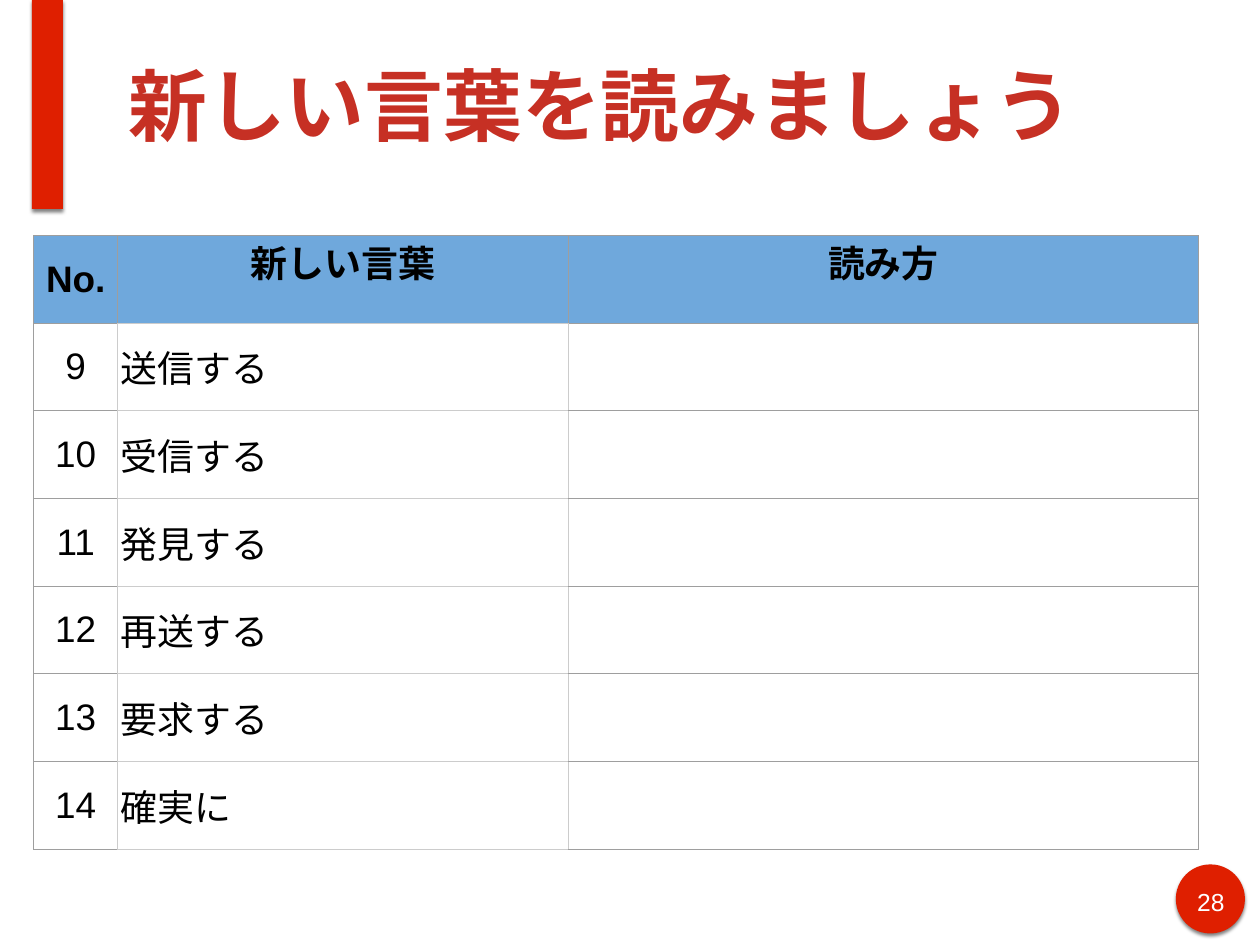
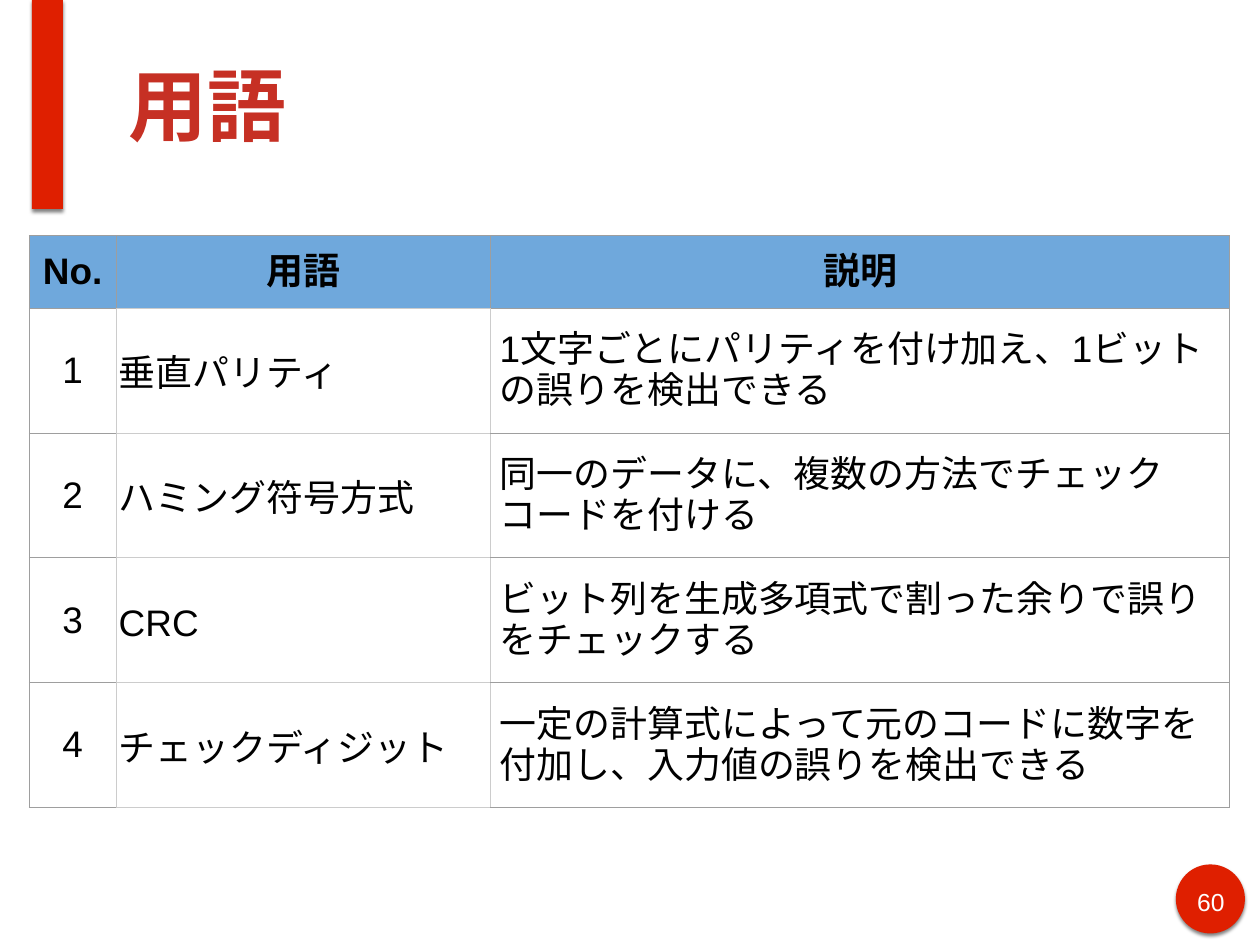
from pptx import Presentation
from pptx.dml.color import RGBColor
from pptx.enum.lang import MSO_LANGUAGE_ID as Language
from pptx.enum.shapes import MSO_SHAPE as Shape
from pptx.enum.text import MSO_ANCHOR as Anchor, MSO_AUTO_SIZE as AutoSize, PP_ALIGN as Align
from pptx.oxml import parse_xml
from pptx.oxml.ns import nsdecls
from pptx.util import Inches, Pt

# Shared style
FONT = "Arial"
RED, TITLE_RED, BLUE = "DF1F00", "C63024", "6FA8DC"
BLACK, WHITE = "000000", "FFFFFF"
EDGE, SOFT = "9E9E9E", "CCCCCC"
BODY_SIZE = 30
TITLE_BOX = (1.39, 0.12, 12.14, 2.12)
BAND_BOX = (0.36, 0, 0.35, 2.36)
BADGE_BOX = (13.27, 9.76, 0.78, 0.78)

# Border colours by column: left, right, top, bottom
HEADING_BORDERS = [(EDGE, EDGE, EDGE, EDGE), (EDGE, EDGE, EDGE, SOFT), (EDGE, EDGE, EDGE, EDGE)]
BODY_BORDERS = [(EDGE, SOFT, EDGE, EDGE), (SOFT, SOFT, SOFT, SOFT), (SOFT, EDGE, EDGE, EDGE)]

WORDS = ["送信する", "受信する", "発見する", "再送する", "要求する", "確実に"]
TERMS = [
    ("垂直パリティ", "1文字ごとにパリティを付け加え、1ビットの誤りを検出できる"),
    ("ハミング符号方式", "同一のデータに、複数の方法でチェックコードを付ける"),
    ("CRC", "ビット列を生成多項式で割った余りで誤りをチェックする"),
    ("チェックディジット", "一定の計算式によって元のコードに数字を付加し、入力値の誤りを検出できる"),
]


def color(value):
    return RGBColor.from_string(value)


def inches(box):
    return [Inches(length) for length in box]


def write(paragraph, text, size, text_color, bold=False, align=Align.LEFT):
    paragraph.text = text
    paragraph.alignment = align
    font = paragraph.font
    font.name, font.size, font.bold = FONT, Pt(size), bold
    font.color.rgb = color(text_color)
    font.language_id = Language.JAPANESE
    # East Asian text follows the same font
    latin = paragraph._p.pPr.find(".//{*}latin")
    latin.addnext(parse_xml(f'<a:ea {nsdecls("a")} typeface="{FONT}"/>'))


def set_margins(frame, margin):
    frame.margin_left = frame.margin_right = Inches(margin)
    frame.margin_top = frame.margin_bottom = Inches(margin)


def add_red_shape(slide, kind, box):
    shape = slide.shapes.add_shape(kind, *inches(box))
    shape.fill.solid()
    shape.fill.fore_color.rgb = color(RED)
    shape.line.fill.background()
    shape._element.spPr.append(parse_xml(
        f'<a:effectLst {nsdecls("a")}>'
        f'<a:outerShdw blurRad="{Pt(3)}" dist="{Pt(2)}" dir="5400000" rotWithShape="0">'
        f'<a:srgbClr val="{BLACK}"><a:alpha val="49000"/></a:srgbClr>'
        '</a:outerShdw></a:effectLst>'))


def add_badge(slide, number, box):
    """Round page badge with its number."""
    add_red_shape(slide, Shape.OVAL, box)
    left, top, width, _ = box
    number_box = (left + 0.15, top + 0.19, width - 0.29, 0.39)
    frame = slide.shapes.add_textbox(*inches(number_box)).text_frame
    frame.word_wrap = True
    set_margins(frame, 0.06)
    write(frame.paragraphs[0], str(number), 20, WHITE, align=Align.CENTER)


def set_title(slide, text, box):
    title = slide.shapes.title
    title.left, title.top, title.width, title.height = inches(box)
    frame = title.text_frame
    frame.auto_size = AutoSize.NONE
    frame.word_wrap = True
    frame.vertical_anchor = Anchor.MIDDLE
    set_margins(frame, 0.06)
    write(frame.paragraphs[0], text, 64, TITLE_RED, bold=True)


def set_borders(cell, border_colors):
    properties = cell._tc.get_or_add_tcPr()
    for index, (side, value) in enumerate(zip("LRTB", border_colors)):
        properties.insert(index, parse_xml(
            f'<a:ln{side} {nsdecls("a")} w="{Pt(0.75)}"><a:solidFill>'
            f'<a:srgbClr val="{value}"/></a:solidFill></a:ln{side}>'))


def fill_cell(cell, text, column, heading, heading_anchor):
    set_margins(cell, 0.1)
    cell.vertical_anchor = heading_anchor if heading and column else Anchor.MIDDLE
    paragraph = cell.text_frame.paragraphs[0]
    centred = heading or column == 0
    write(paragraph, text, BODY_SIZE, BLACK, heading, Align.CENTER if centred else Align.LEFT)
    if heading:
        cell.fill.solid()
        cell.fill.fore_color.rgb = color(BLUE)
    else:
        cell.fill.background()
        if column == 1:
            cell.margin_left = cell.margin_right = Inches(0.03)
            paragraph.line_spacing = 1.15
    set_borders(cell, (HEADING_BORDERS if heading else BODY_BORDERS)[column])


def add_word_table(slide, rows, left, top, widths, heading_height, row_height, heading_anchor):
    """Numbered table whose first row holds the headings."""
    heights = [heading_height] + [row_height] * (len(rows) - 1)
    box = (left, top, sum(widths), sum(heights))
    table = slide.shapes.add_table(len(rows), len(widths), *inches(box)).table
    table.first_row = table.horz_banding = False
    for column, width in zip(table.columns, widths):
        column.width = Inches(width)
    for row_index, (row, height) in enumerate(zip(rows, heights)):
        table.rows[row_index].height = Inches(height)
        for column_index, text in enumerate(row):
            fill_cell(table.cell(row_index, column_index), text, column_index,
                      row_index == 0, heading_anchor)


def add_table_slide(presentation, title, number, rows, **table_layout):
    slide = presentation.slides.add_slide(presentation.slide_layouts[5])
    add_red_shape(slide, Shape.RECTANGLE, BAND_BOX)
    add_badge(slide, number, BADGE_BOX)
    set_title(slide, title, TITLE_BOX)
    add_word_table(slide, rows, top=2.66, **table_layout)


def main():
    presentation = Presentation()
    presentation.slide_width, presentation.slide_height = Inches(14.22), Inches(10.67)

    # Reading practice: the readings are left open
    word_rows = [("No.", "新しい言葉", "読み方")]
    word_rows += [(str(number), word, "") for number, word in enumerate(WORDS, 9)]
    add_table_slide(presentation, "新しい言葉を読みましょう", 28, word_rows,
                    left=0.38, widths=(0.95, 5.08, 7.12), heading_height=0.99,
                    row_height=0.99, heading_anchor=Anchor.TOP)

    # Terms with explanations
    term_rows = [("No.", "用語", "説明")]
    term_rows += [(str(number), *term) for number, term in enumerate(TERMS, 1)]
    add_table_slide(presentation, "用語", 60, term_rows,
                    left=0.33, widths=(0.98, 4.23, 8.34), heading_height=0.82,
                    row_height=1.41, heading_anchor=Anchor.MIDDLE)

    presentation.save("out.pptx")


if __name__ == "__main__":
    main()
